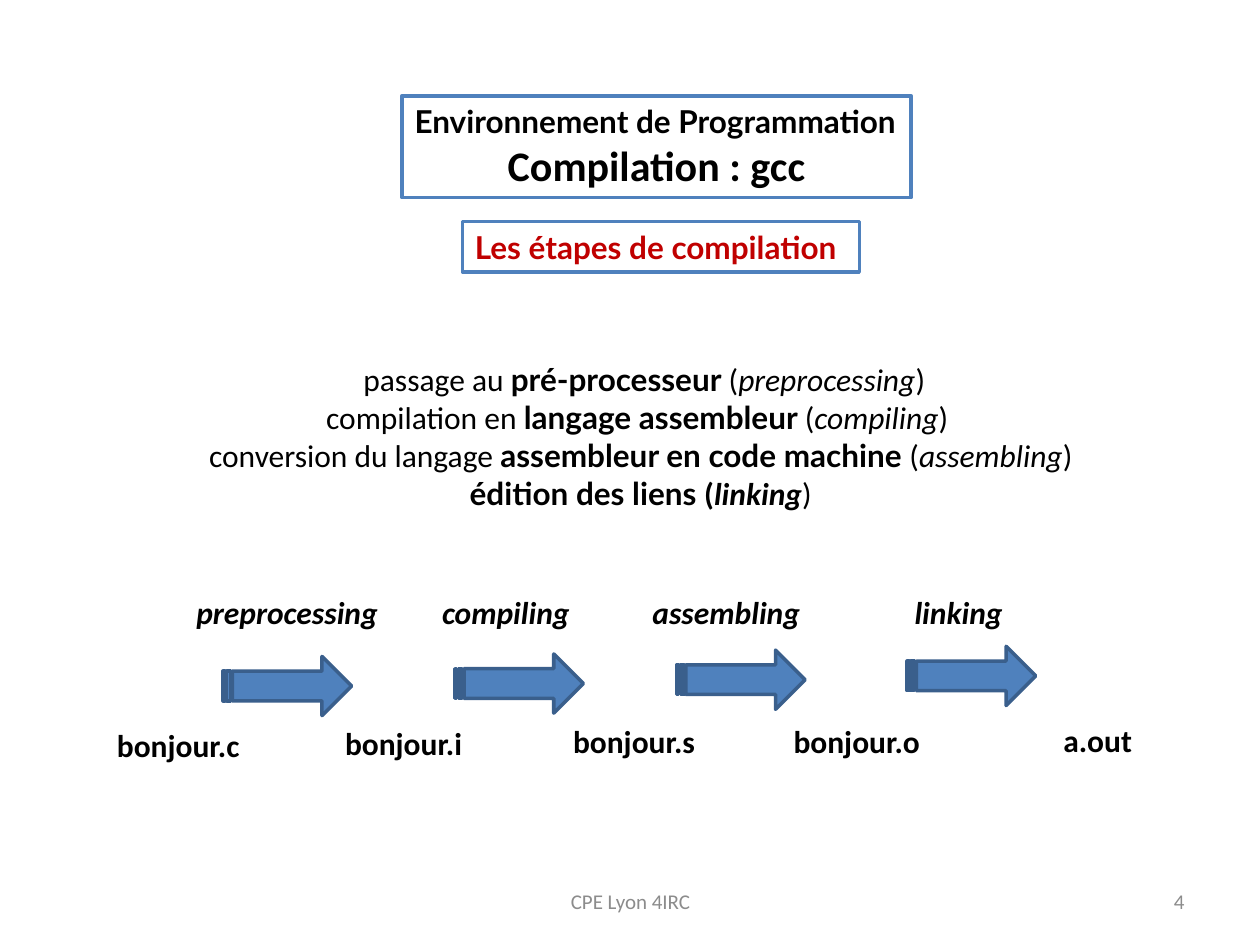
from typing import NamedTuple

import pptx
import pptx.dml.color
import pptx.enum.shapes
import pptx.enum.text
import pptx.util

Inches = pptx.util.Inches
Align = pptx.enum.text.PP_ALIGN
Anchor = pptx.enum.text.MSO_ANCHOR

COLORS = {
    "text": "000000",
    "accent": "C00000",
    "blue": "4F81BD",
    "dark_blue": "3A5F8C",
    "white": "FFFFFF",
    "footer": "8C8C8C",
}


class Run(NamedTuple):
    text: str
    bold: bool = False
    italic: bool = False
    font: str = "Calibri"
    size: float = 18
    color: str = "text"


class Box(NamedTuple):
    left: float
    top: float
    width: float
    height: float = 0.4


class Stage(NamedTuple):
    name: str
    label: Box
    arrow_left: float
    arrow_top: float


class File(NamedTuple):
    name: str
    box: Box


STEPS = [
    [Run("\N{NO-BREAK SPACE}", True), Run("passage au "), Run("pré-processeur", True, font="Lato"),
     Run(" ("), Run("preprocessing", italic=True), Run(")")],
    [Run("compilation en "), Run("langage assembleur ", True, font="Lato"),
     Run("("), Run("compiling", italic=True), Run(") ")],
    [Run("conversion du langage "), Run("assembleur en code machine ", True, font="Lato"),
     Run("("), Run("assembling", italic=True), Run(")")],
    [Run("édition des liens ", True, font="Lato"), Run("(", True),
     Run("linking", True, True), Run(")")],
]

STAGES = [
    Stage("preprocessing", Box(1.46, 4.66, 1.66), 1.77, 5.21),
    Stage("compiling", Box(3.41, 4.66, 1.22), 3.61, 5.19),
    Stage("assembling", Box(5.08, 4.66, 1.39), 5.37, 5.16),
    Stage("linking", Box(7.16, 4.66, 0.91), 7.2, 5.13),
]

FILES = [
    File("bonjour.c", Box(0.83, 5.71, 1.24)),
    File("bonjour.i", Box(2.64, 5.7, 1.24)),
    File("bonjour.s", Box(4.45, 5.68, 1.24)),
    File("bonjour.o", Box(6.2, 5.68, 1.27)),
    File("a.out", Box(8.34, 5.67, 0.81)),
]


def color(name: str) -> pptx.dml.color.RGBColor:
    return pptx.dml.color.RGBColor.from_string(COLORS[name])


def lengths(box: Box) -> list[pptx.util.Length]:
    return [Inches(value) for value in box]


def paint(shape, fill: str, line: str) -> None:
    shape.fill.solid()
    shape.fill.fore_color.rgb = color(fill)
    shape.line.color.rgb = color(line)
    shape.line.width = pptx.util.Pt(2)


def write(shape, lines: list[list[Run]], alignments: list[Align],
          anchor: Anchor = Anchor.TOP, wrap: bool = True) -> None:
    frame = shape.text_frame
    frame.word_wrap = wrap
    frame.auto_size = pptx.enum.text.MSO_AUTO_SIZE.NONE
    frame.vertical_anchor = anchor
    for index, (line, alignment) in enumerate(zip(lines, alignments)):
        paragraph = frame.add_paragraph() if index else frame.paragraphs[0]
        paragraph.alignment = alignment
        for item in line:
            run = paragraph.add_run()
            run.text = item.text
            run.font.name = item.font
            run.font.size = pptx.util.Pt(item.size)
            run.font.bold = item.bold
            run.font.italic = item.italic
            run.font.color.rgb = color(item.color)


def add_text(slide, box: Box, lines: list[list[Run]], alignment: Align = Align.LEFT,
             anchor: Anchor = Anchor.TOP, wrap: bool = True) -> None:
    shape = slide.shapes.add_textbox(*lengths(box))
    write(shape, lines, [alignment] * len(lines), anchor, wrap)


def add_shape(slide, kind, box: Box, fill: str, line: str):
    shape = slide.shapes.add_shape(kind, *lengths(box))
    shape.shadow.inherit = False
    paint(shape, fill, line)
    return shape


def add_title(slide) -> None:
    title = slide.shapes.title
    title.left, title.top, title.width, title.height = lengths(Box(3.19, 0.76, 4.04, 0.81))
    paint(title, "white", "blue")
    write(title,
          [[Run("Environnement de Programmation", True, font="Lato")],
           [Run("Compilation : gcc", True, size=24)]],
          [Align.LEFT, Align.CENTER])


def main() -> None:
    shapes = pptx.enum.shapes.MSO_SHAPE
    presentation = pptx.Presentation()
    presentation.slide_width = Inches(10)
    presentation.slide_height = Inches(7.5)
    slide = presentation.slides.add_slide(presentation.slide_layouts.get_by_name("Title Only"))

    add_title(slide)
    add_text(slide, Box(1.46, 2.81, 7.25, 1.31), STEPS, Align.CENTER)
    subtitle = add_shape(slide, shapes.RECTANGLE, Box(3.67, 1.76, 3.15), "white", "blue")
    write(subtitle, [[Run("Les étapes de compilation", True, font="Lato", color="accent")]],
          [Align.LEFT])

    for file in FILES:
        add_text(slide, file.box, [[Run(file.name, True)]], wrap=False)
    for stage in STAGES:
        add_shape(slide, shapes.STRIPED_RIGHT_ARROW,
                  Box(stage.arrow_left, stage.arrow_top, 1.02, 0.47), "blue", "dark_blue")
        add_text(slide, stage.label, [[Run(stage.name, True, True)]], wrap=False)

    add_text(slide, Box(7.17, 6.95, 2.33), [[Run("4", size=12, color="footer")]],
             Align.RIGHT, Anchor.MIDDLE)
    add_text(slide, Box(3.42, 6.95, 3.17), [[Run("CPE Lyon 4IRC", size=12, color="footer")]],
             Align.CENTER, Anchor.MIDDLE)
    presentation.save("out.pptx")


if __name__ == "__main__":
    main()
